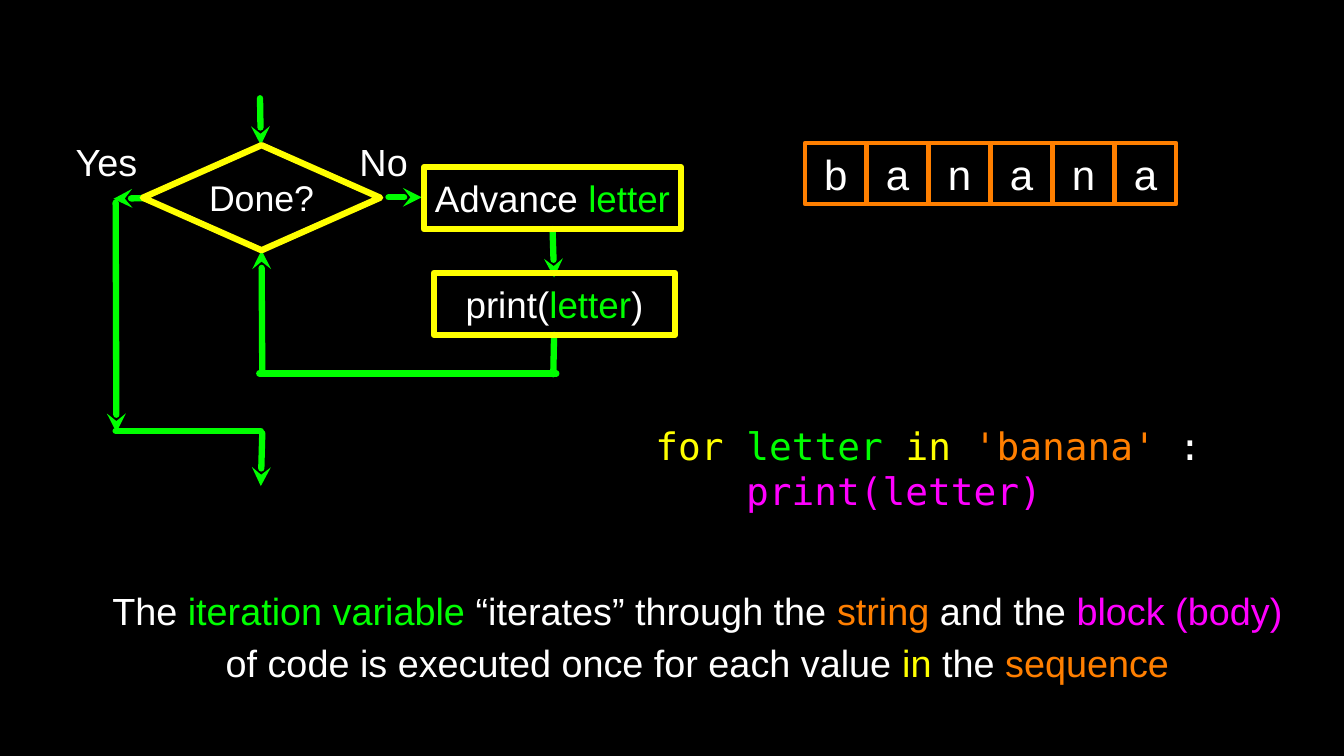
from dataclasses import dataclass

from lxml.etree import SubElement
from pptx import Presentation
from pptx.dml.color import RGBColor
from pptx.enum.shapes import MSO_CONNECTOR as Connector, MSO_SHAPE as Shape
from pptx.enum.text import MSO_ANCHOR as Anchor, PP_ALIGN as Align
from pptx.oxml.ns import qn
from pptx.util import Inches, Pt


@dataclass(frozen=True)
class Theme:
    black: str = "000000"
    white: str = "FFFFFF"
    green: str = "00FF00"
    yellow: str = "FFFF00"
    orange: str = "FF7F00"
    magenta: str = "FF00FF"
    sans: str = "Arial"
    mono: str = "DejaVu Sans Mono"
    decision_size: int = 34
    step_size: int = 35
    text_size: int = 36
    cell_size: int = 40
    flow_width: int = 6
    cell_width: int = 4


theme = Theme()


def write(frame, paragraphs, size, font=theme.sans, align=Align.CENTER):
    """Fill a frame with paragraphs, each a list of (text, colour) pairs."""
    frame.word_wrap = True
    frame.vertical_anchor = Anchor.MIDDLE
    frame.margin_left = frame.margin_right = frame.margin_top = frame.margin_bottom = 0
    for index, pieces in enumerate(paragraphs):
        paragraph = frame.add_paragraph() if index else frame.paragraphs[0]
        paragraph.alignment = align
        for text, color in pieces:
            run = paragraph.add_run()
            run.text = text
            run.font.name = font
            run.font.size = Pt(size)
            run.font.color.rgb = RGBColor.from_string(color)


def outline(line, color, width):
    """Give a line its colour, width and rounded corners."""
    line.color.rgb = RGBColor.from_string(color)
    line.width = Pt(width)
    ln = line._get_or_add_ln()
    ln.set("cap", "rnd")
    SubElement(ln, qn("a:round"))
    return ln


deck = Presentation()
deck.slide_width, deck.slide_height = Inches(17.78), Inches(10)
slide = deck.slides.add_slide(deck.slide_layouts[6])
slide.background.fill.solid()
slide.background.fill.fore_color.rgb = RGBColor.from_string(theme.black)

# Flow of the loop: start, end, arrowhead at the end
flow = [
    ((3.44, 1.3), (3.45, 1.92), True),    # into the test
    ((1.93, 2.62), (1.5, 2.63), True),    # yes: leave the loop
    ((1.53, 2.68), (1.54, 5.72), True),
    ((1.53, 5.7), (3.45, 5.7), False),
    ((3.47, 5.73), (3.45, 6.43), True),
    ((5.14, 2.61), (5.58, 2.61), True),   # no: run the body
    ((7.31, 3.03), (7.33, 3.67), True),
    ((7.33, 4.43), (7.32, 4.95), False),  # back to the test
    ((7.36, 4.94), (3.43, 4.94), False),
    ((3.47, 4.94), (3.46, 3.31), True),
]
for start, end, has_head in flow:
    arrow = slide.shapes.add_connector(
        Connector.STRAIGHT, *[Inches(value) for value in start + end])
    ln = outline(arrow.line, theme.green, theme.flow_width)
    if has_head:
        SubElement(ln, qn("a:tailEnd"), type="stealth")
    SubElement(arrow._element.spPr, qn("a:effectLst"))

# Flowchart steps and the letter cells
steps = [
    (Shape.DIAMOND, (1.89, 1.92, 3.14, 1.39), [("Done?", theme.white)],
     theme.decision_size, theme.yellow, theme.flow_width),
    (Shape.RECTANGLE, (5.61, 2.21, 3.4, 0.82),
     [("Advance ", theme.white), ("letter", theme.green)],
     theme.step_size, theme.yellow, theme.flow_width),
    (Shape.RECTANGLE, (5.74, 3.61, 3.19, 0.82),
     [("print(", theme.white), ("letter", theme.green), (")", theme.white)],
     theme.step_size, theme.yellow, theme.flow_width),
]
cells = [
    (Shape.RECTANGLE, (10.65 + 0.82 * index, 1.89, 0.81, 0.81),
     [(letter, theme.white)], theme.cell_size, theme.orange, theme.cell_width)
    for index, letter in enumerate("banana")
]
for kind, place, pieces, size, color, width in steps + cells:
    step = slide.shapes.add_shape(kind, *[Inches(value) for value in place])
    step.shadow.inherit = False
    step.fill.background()
    outline(step.line, color, width)
    write(step.text_frame, [pieces], size)

# Branch labels
for answer, left, width in [("Yes", 0.93, 0.96), ("No", 4.68, 0.79)]:
    label = slide.shapes.add_textbox(
        Inches(left), Inches(1.79), Inches(width), Inches(0.68))
    write(label.text_frame, [[(answer, theme.white)]], theme.text_size)

# Code, with the loop body indented by four characters
code = slide.shapes.add_textbox(Inches(8.67), Inches(5.56), Inches(7.26), Inches(1.25))
write(code.text_frame, [
    [("for ", theme.yellow), ("letter ", theme.green), ("in ", theme.yellow),
     ("'banana' ", theme.orange), (":", theme.white)],
    [("print(letter)", theme.magenta)],
], theme.text_size, theme.mono, Align.LEFT)
body_line = code.text_frame.paragraphs[1]
body_line._p.get_or_add_pPr().set("marL", str(Inches(1.2)))

# Explanation
explanation = slide.shapes.add_textbox(
    Inches(1.28), Inches(7.63), Inches(15.89), Inches(1.48))
write(explanation.text_frame, [[
    ("The", theme.white),
    (" iteration variable ", theme.green),
    ("“iterates” through the ", theme.white),
    ("string ", theme.orange),
    ("and the ", theme.white),
    ("block (body)", theme.magenta),
    (" of code is executed once for each value ", theme.white),
    ("in", theme.yellow),
    (" the ", theme.white),
    ("sequence", theme.orange),
]], theme.text_size)
explanation.text_frame.paragraphs[0].line_spacing = 1.15

deck.save("out.pptx")
